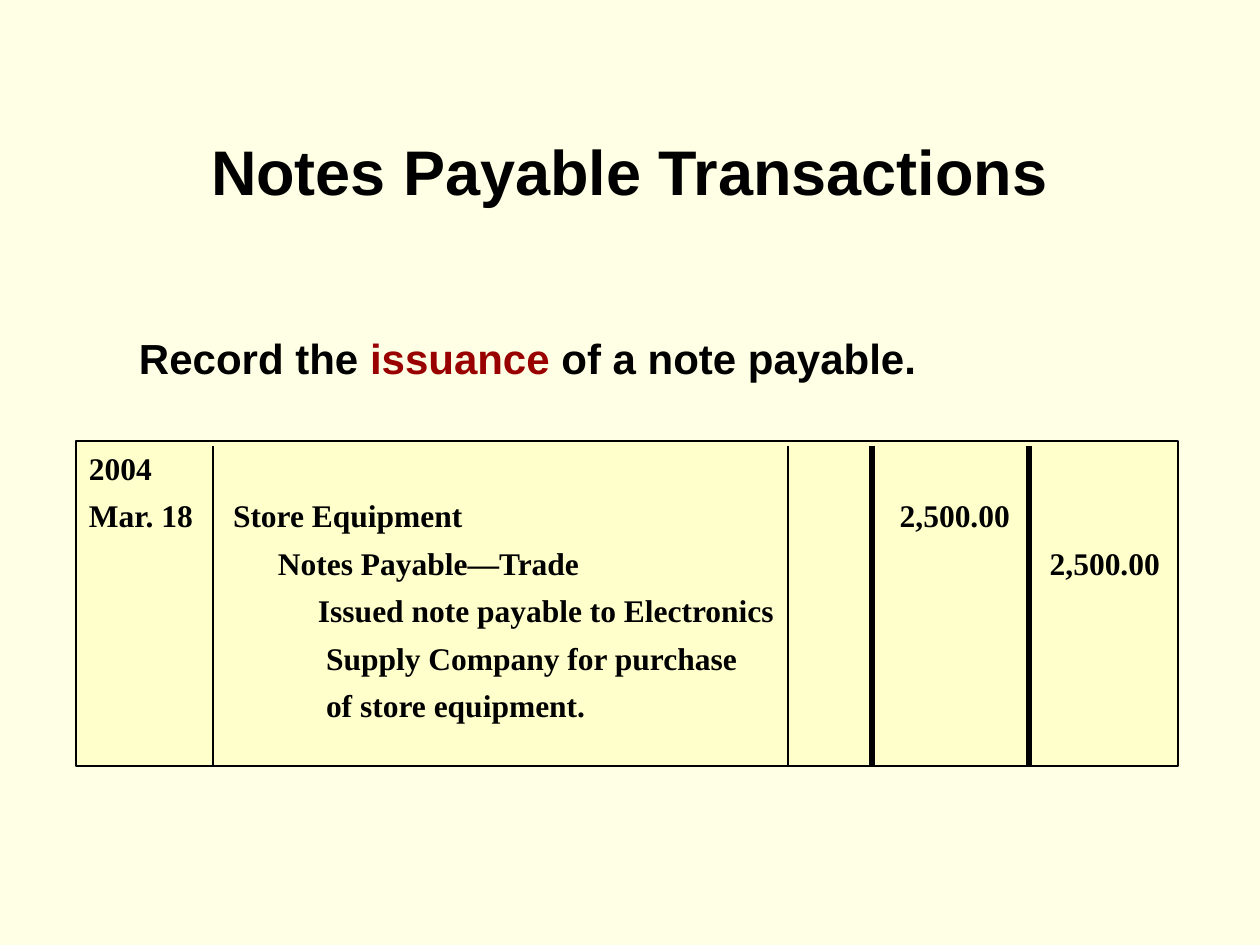
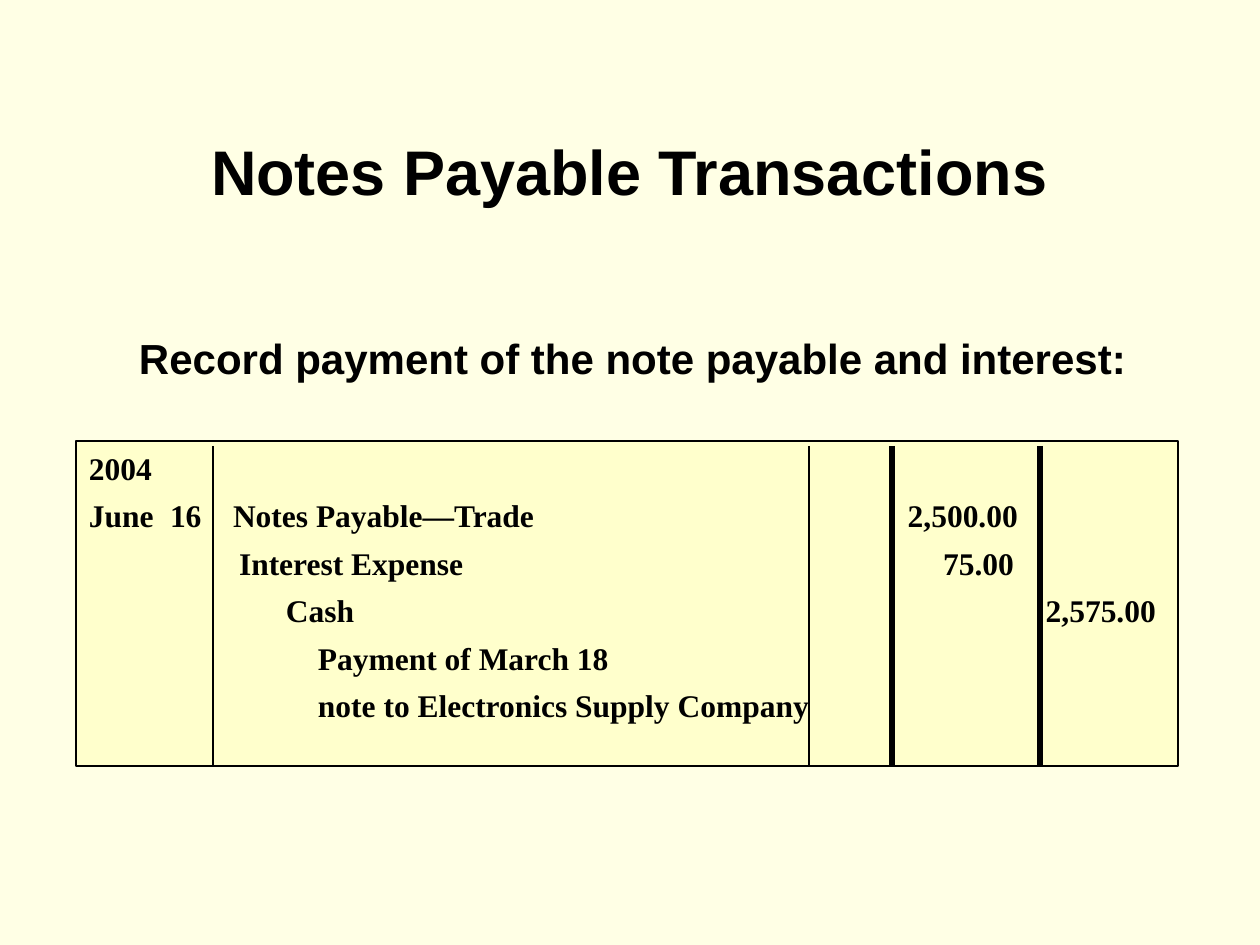
from lxml import etree
from pptx import Presentation
from pptx.dml.color import RGBColor
from pptx.enum.shapes import MSO_CONNECTOR, MSO_SHAPE
from pptx.enum.text import MSO_ANCHOR, MSO_AUTO_SIZE, PP_ALIGN
from pptx.oxml.ns import qn
from pptx.util import Emu, Pt

LEFT, CENTER = PP_ALIGN.LEFT, PP_ALIGN.CENTER
TOP, MIDDLE = MSO_ANCHOR.TOP, MSO_ANCHOR.MIDDLE
NO_AUTOFIT = MSO_AUTO_SIZE.NONE
RECTANGLE, STRAIGHT = MSO_SHAPE.RECTANGLE, MSO_CONNECTOR.STRAIGHT
TITLE_ONLY = 5

PAPER, LEDGER, INK, ACCENT = "FFFFE5", "FFFFCC", "000000", "990000"
HEADING_FONT, LEDGER_FONT = "Arial", "Times New Roman"

TITLE_BOX = (94, 126, 1071, 88)
INSTRUCTION_BOX = (126, 325, 1052, 63)
JOURNAL_BOX = (76, 441, 1102, 325)
INSET_X, INSET_Y = 13, 8
RULE_GAP = 5
RULE_WEIGHTS = (0.75, 0.75, 3, 3)

ENTRIES = [
    {
        "instruction": [("Record the ", INK), ("issuance", ACCENT),
                        (" of a note payable.", INK)],
        "rules": (137, 712, 796, 953),
        "rows": [
            ("2004", []),
            ("Mar. 18\tStore Equipment\t2,500.00", [(144, "l"), (921, "r")]),
            ("\tNotes Payable—Trade\t2,500.00", [(189, "l"), (1071, "r")]),
            ("\tIssued note payable to Electronics", [(229, "l")]),
            ("\tSupply Company for purchase", [(237, "l")]),
            ("\tof store equipment.", [(237, "l")]),
        ],
    },
    {
        "instruction": [("Record payment of the note payable and interest:", INK)],
        "rules": (137, 733, 816, 964),
        "rows": [
            ("2004", []),
            ("June\t16\tNotes Payable—Trade\t2,500.00",
             [(81, "l"), (144, "l"), (929, "r")]),
            ("\tInterest Expense\t75.00", [(150, "l"), (925, "r")]),
            ("\tCash\t2,575.00", [(197, "l"), (1067, "r")]),
            ("\tPayment of March 18", [(229, "l")]),
            ("\tnote to Electronics Supply Company", [(229, "l")]),
        ],
    },
]


def px(length):
    return Emu(round(length * 914400 / 126))


def color(value):
    return RGBColor.from_string(value)


def set_font(paragraph, name, size):
    font = paragraph.font
    font.name, font.size, font.bold = name, Pt(size), True
    font.color.rgb = color(INK)


def set_frame(frame, anchor, wrap=True):
    frame.word_wrap = wrap
    frame.auto_size = NO_AUTOFIT
    frame.vertical_anchor = anchor
    frame.margin_left = frame.margin_right = px(INSET_X)
    frame.margin_top = frame.margin_bottom = px(INSET_Y)


def add_tabs(paragraph, stops):
    tab_list = etree.SubElement(paragraph._p.get_or_add_pPr(), qn("a:tabLst"))
    for position, alignment in stops:
        etree.SubElement(tab_list, qn("a:tab"), pos=str(px(position)), algn=alignment)


def add_title(slide, box):
    title = slide.shapes.title
    title.left, title.top, title.width, title.height = map(px, box)
    set_frame(title.text_frame, MIDDLE)
    paragraph = title.text_frame.paragraphs[0]
    paragraph.text = "Notes Payable Transactions"
    paragraph.alignment = CENTER
    set_font(paragraph, HEADING_FONT, 36)


def add_instruction(slide, box, parts):
    frame = slide.shapes.add_textbox(*map(px, box)).text_frame
    set_frame(frame, TOP)
    paragraph = frame.paragraphs[0]
    set_font(paragraph, HEADING_FONT, 24)
    for text, ink in parts:
        run = paragraph.add_run()
        run.text = text
        run.font.color.rgb = color(ink)


def add_rule(group, x, top, bottom, weight):
    rule = group.shapes.add_connector(STRAIGHT, px(x), px(top), px(x), px(bottom))
    rule.line.color.rgb = color(INK)
    rule.line.width = Pt(weight)
    etree.SubElement(rule._element.spPr, qn("a:effectLst"))


def add_journal(slide, box, rows, rules):
    left, top, width, height = box
    group = slide.shapes.add_group_shape()
    page = group.shapes.add_shape(RECTANGLE, *map(px, box))
    page.shadow.inherit = False
    page.fill.solid()
    page.fill.fore_color.rgb = color(LEDGER)
    page.line.color.rgb = color(INK)
    page.line.width = Pt(0.75)
    frame = page.text_frame
    set_frame(frame, TOP)
    for index, (text, stops) in enumerate(rows):
        paragraph = frame.add_paragraph() if index else frame.paragraphs[0]
        paragraph.text = text
        paragraph.alignment = LEFT
        if stops:
            add_tabs(paragraph, stops)
        if index:
            paragraph.space_before = Pt(5.5)
        set_font(paragraph, LEDGER_FONT, 18)
    for x, weight in zip(rules, RULE_WEIGHTS):
        add_rule(group, left + x, top + RULE_GAP, top + height, weight)


def add_entry_slide(presentation, entry):
    slide = presentation.slides.add_slide(presentation.slide_layouts[TITLE_ONLY])
    add_title(slide, TITLE_BOX)
    add_journal(slide, JOURNAL_BOX, entry["rows"], entry["rules"])
    add_instruction(slide, INSTRUCTION_BOX, entry["instruction"])


def main():
    presentation = Presentation()
    presentation.slide_width, presentation.slide_height = px(1260), px(945)
    background = presentation.slide_master.background.fill
    background.solid()
    background.fore_color.rgb = color(PAPER)
    for entry in ENTRIES:
        add_entry_slide(presentation, entry)
    presentation.save("out.pptx")


if __name__ == "__main__":
    main()
